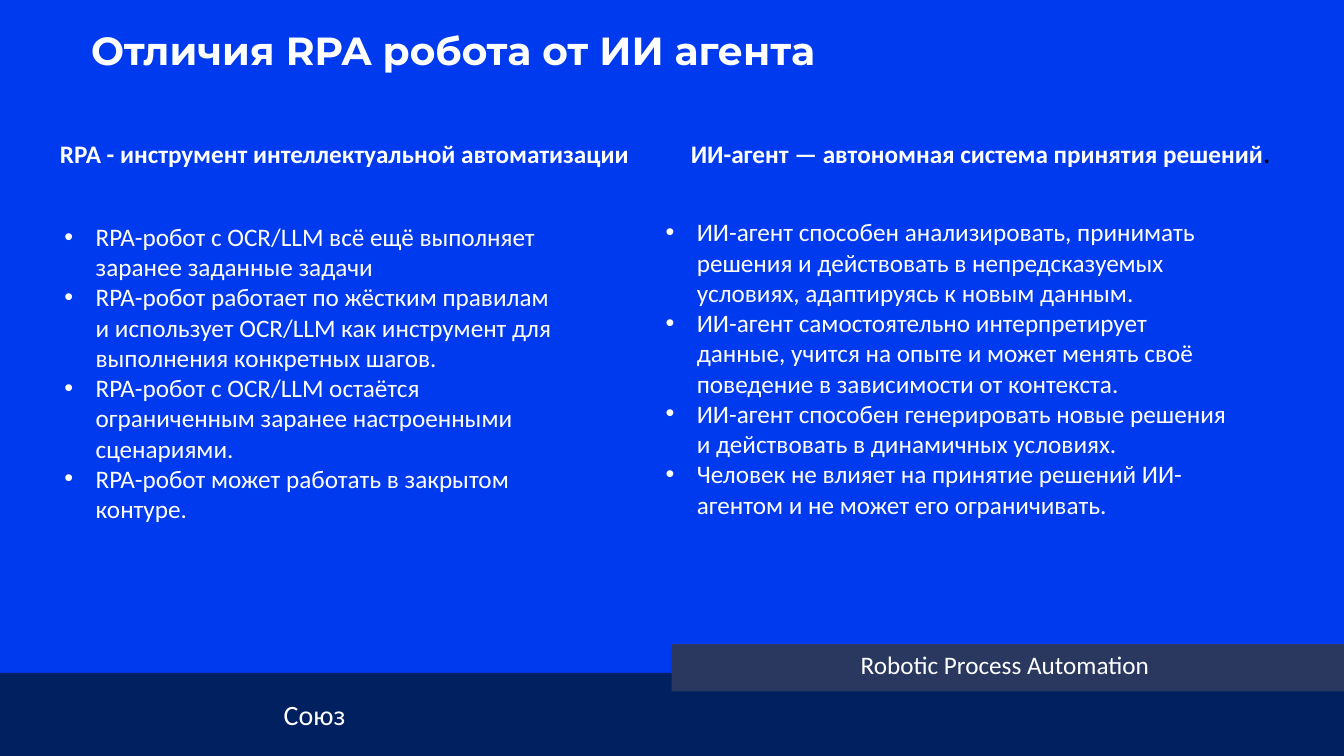
from pptx import Presentation
from pptx.dml.color import RGBColor
from pptx.enum.shapes import MSO_SHAPE as Shape
from pptx.enum.text import MSO_ANCHOR as Anchor, PP_ALIGN as Align
from pptx.oxml import parse_xml
from pptx.oxml.ns import nsdecls
from pptx.util import Inches, Pt

COLORS = {
    "background": "003AEF",
    "footer": "002060",
    "strip": "2A3860",
    "text": "FFFFFF",
    "full stop": "000000",
}
TITLE = "Отличия RPA робота от ИИ агента"
ORGANISATION = "Союз"
TAGLINE = "Robotic Process Automation"

# heading, heading left, end mark, list position (left, top, width, height), points
COLUMNS = [
    ("RPA - инструмент интеллектуальной автоматизации", 1.09, "",
     (1.18, 4.34, 10.14, 6.16), [
         "RPA-робот с OCR/LLM всё ещё выполняет заранее заданные задачи",
         "RPA-робот работает по жёстким правилам и использует OCR/LLM как "
         "инструмент для выполнения конкретных шагов.",
         "RPA-робот с OCR/LLM остаётся ограниченным заранее настроенными сценариями.",
         "RPA-робот может работать в закрытом контуре.",
     ]),
    ("ИИ-агент — автономная система принятия решений", 13.61, ".",
     (13.11, 4.25, 11.33, 6.16), [
         "ИИ-агент способен анализировать, принимать решения и действовать в "
         "непредсказуемых условиях, адаптируясь к новым данным.",
         "ИИ-агент самостоятельно интерпретирует данные, учится на опыте и может "
         "менять своё поведение в зависимости от контекста.",
         "ИИ-агент способен генерировать новые решения и действовать в "
         "динамичных условиях.",
         "Человек не влияет на принятие решений ИИ-агентом и не может его "
         "ограничивать.",
     ]),
]
HEADING_TOP, HEADING_WIDTH, HEADING_HEIGHT = 2.69, 12.2, 0.71
BULLET_INDENT = 0.62


def color(name):
    return RGBColor.from_string(COLORS[name])


def style(para, size=36, font="Calibri", bold=False):
    para.alignment = Align.LEFT
    para.font.size = Pt(size)
    para.font.name = font
    para.font.bold = bold
    para.font.color.rgb = color("text")


def add_bullet(para):
    props = para._p.get_or_add_pPr()
    props.set("marL", str(Inches(BULLET_INDENT)))
    props.set("indent", str(-Inches(BULLET_INDENT)))
    props.append(parse_xml(f'<a:buFont {nsdecls("a")} typeface="Arial"/>'))
    props.append(parse_xml(f'<a:buChar {nsdecls("a")} char="•"/>'))


def add_text(page, position, lines, bullets=False, **font):
    box = page.shapes.add_textbox(*map(Inches, position))
    frame = box.text_frame
    frame.word_wrap = True
    for index, line in enumerate(lines):
        para = frame.add_paragraph() if index else frame.paragraphs[0]
        para.text = line
        if bullets:
            add_bullet(para)
        style(para, **font)
    return frame


def add_bar(page, position, fill):
    bar = page.shapes.add_shape(Shape.RECTANGLE, *map(Inches, position))
    bar.shadow.inherit = False
    bar.fill.solid()
    bar.fill.fore_color.rgb = color(fill)
    bar.line.fill.background()
    return bar.text_frame


def main():
    deck = Presentation()
    deck.slide_width, deck.slide_height = Inches(26.67), Inches(15)
    page = deck.slides.add_slide(deck.slide_layouts[6])
    page.background.fill.solid()
    page.background.fill.fore_color.rgb = color("background")

    title = add_text(page, (1.81, 0.62, 23.57, 1.58), [TITLE],
                     size=56, font="Montserrat", bold=True)
    title.margin_left = title.margin_right = title.margin_top = title.margin_bottom = 0
    title.paragraphs[0].line_spacing = 0.9

    footer = add_bar(page, (0, 13.35, 26.67, 1.65), "footer")
    footer.vertical_anchor = Anchor.MIDDLE
    footer.margin_left = Inches(5.63)
    footer.text = ORGANISATION
    style(footer.paragraphs[0], size=40)

    add_bar(page, (13.33, 12.78, 13.34, 0.94), "strip")
    add_text(page, (16.98, 12.83, 8.07, 0.71), [TAGLINE])

    for heading, left, end_mark, list_position, points in COLUMNS:
        position = (left, HEADING_TOP, HEADING_WIDTH, HEADING_HEIGHT)
        frame = add_text(page, position, [heading], bold=True)
        if end_mark:
            span = frame.paragraphs[0].add_run()
            span.text = end_mark
            span.font.color.rgb = color("full stop")
        add_text(page, list_position, points, bullets=True)

    deck.save("out.pptx")


if __name__ == "__main__":
    main()
